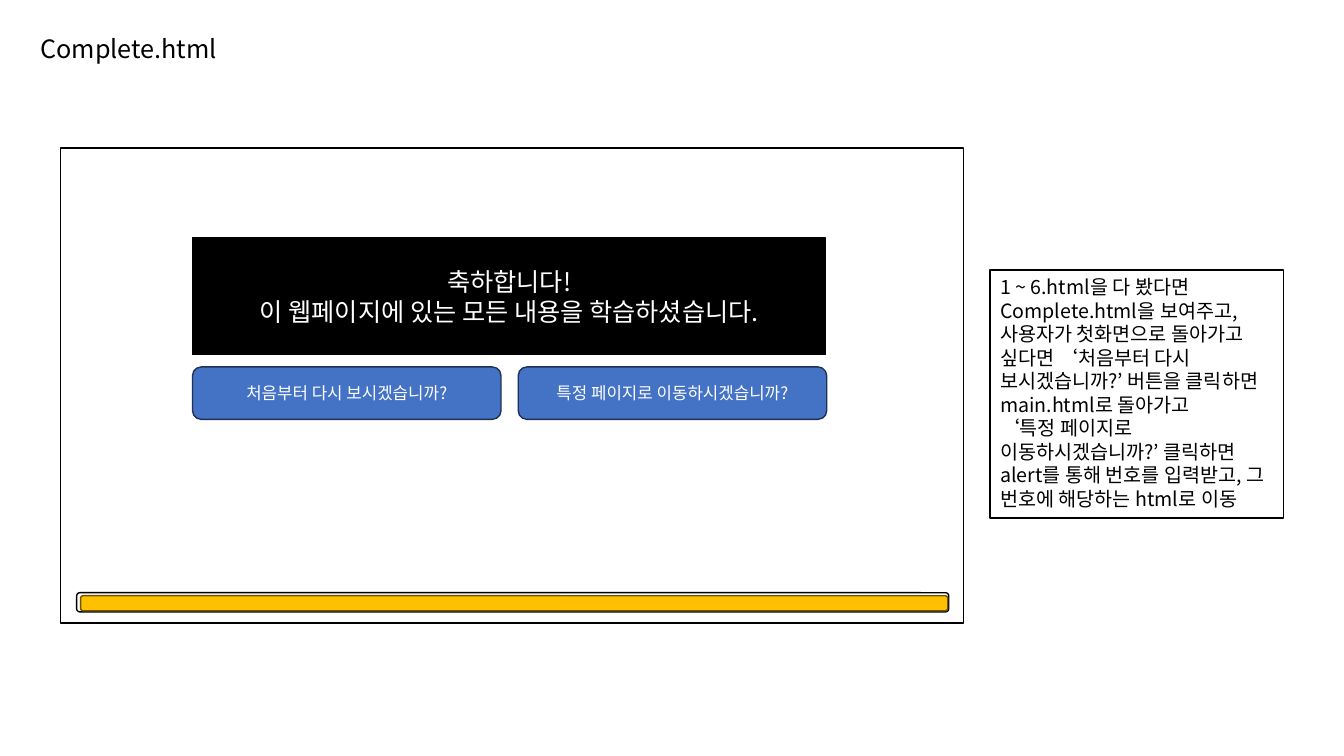
from lxml.etree import SubElement
from pptx import Presentation
from pptx.dml.color import RGBColor
from pptx.enum.shapes import MSO_SHAPE
from pptx.enum.text import MSO_ANCHOR, MSO_AUTO_SIZE, PP_ALIGN
from pptx.oxml.ns import qn
from pptx.util import Inches, Pt

FONT = "Noto Sans CJK KR"
BLACK = RGBColor(0x00, 0x00, 0x00)
WHITE = RGBColor(0xFF, 0xFF, 0xFF)
BLUE = RGBColor(0x44, 0x72, 0xC4)
NAVY = RGBColor(0x1E, 0x32, 0x56)
GOLD = RGBColor(0xFF, 0xC0, 0x00)
BROWN = RGBColor(0x70, 0x54, 0x00)

MESSAGE = ["축하합니다!", "이 웹페이지에 있는 모든 내용을 학습하셨습니다."]
BUTTONS = ["처음부터 다시 보시겠습니까?", "특정 페이지로 이동하시겠습니까?"]
NOTE = [
    "1 ~ 6.html을 다 봤다면 Complete.html을 보여주고,",
    "사용자가 첫화면으로 돌아가고 싶다면 ‘처음부터 다시 보시겠습니까?’ "
    "버튼을 클릭하면 main.html로 돌아가고",
    "‘특정 페이지로 이동하시겠습니까?’ 클릭하면 alert를 통해 번호를 입력받고, "
    "그 번호에 해당하는 html로 이동",
]


def write(shape, lines, size, color, align=PP_ALIGN.CENTER, anchor=MSO_ANCHOR.MIDDLE):
    frame = shape.text_frame
    frame.word_wrap = True
    frame.vertical_anchor = anchor
    frame.text = "\n".join(lines)
    for paragraph in frame.paragraphs:
        paragraph.alignment = align
        for run in paragraph.runs:
            for name, value in {"size": Pt(size), "name": FONT}.items():
                setattr(run.font, name, value)
            run.font.color.rgb = color
            # Korean glyphs use the East Asian typeface
            SubElement(run.font._element, qn("a:ea"), typeface=FONT)


def add_box(slide, box, fill, line, kind=MSO_SHAPE.RECTANGLE):
    shape = slide.shapes.add_shape(kind, *map(Inches, box))
    shape.shadow.inherit = False
    shape.fill.solid()
    shape.fill.fore_color.rgb = fill
    shape.line.color.rgb = line
    shape.line.width = Pt(1)
    return shape


def add_title(slide, box):
    title = slide.shapes.title
    for name, value in zip(("left", "top", "width", "height"), box):
        setattr(title, name, Inches(value))
    write(title, ["Complete.html"], 18, BLACK, PP_ALIGN.LEFT, MSO_ANCHOR.TOP)
    title.text_frame.auto_size = MSO_AUTO_SIZE.SHAPE_TO_FIT_TEXT


def add_note(slide, box):
    note = add_box(slide, box, WHITE, BLACK)
    write(note, NOTE, 14, BLACK, PP_ALIGN.LEFT, MSO_ANCHOR.TOP)
    note.text_frame.auto_size = MSO_AUTO_SIZE.SHAPE_TO_FIT_TEXT


def add_page_mockup(slide, box):
    left, top, width, height = box
    add_box(slide, box, WHITE, BLACK)

    # Progress bar: track and full fill
    rounded = MSO_SHAPE.ROUNDED_RECTANGLE
    track_top = top + height - 0.3
    add_box(slide, (left + 0.16, track_top, 8.65, 0.19), WHITE, BLACK, rounded)
    add_box(slide, (left + 0.2, track_top + 0.03, 8.6, 0.15), GOLD, BROWN, rounded)

    # Congratulation message
    inner_left = left + 1.31
    message = add_box(slide, (inner_left, top + 0.89, 6.28, 1.16), BLACK, BLACK)
    write(message, MESSAGE, 18, WHITE)

    # Two buttons side by side
    button_width, gap = 3.06, 0.17
    for index, label in enumerate(BUTTONS):
        button_left = inner_left + index * (button_width + gap)
        button = add_box(slide, (button_left, top + 2.17, button_width, 0.52),
                         BLUE, NAVY, rounded)
        write(button, [label], 12, WHITE)


def main():
    deck = Presentation()
    deck.slide_width, deck.slide_height = Inches(13.33), Inches(7.5)
    slide = deck.slides.add_slide(deck.slide_layouts[5])
    add_title(slide, (0.3, 0.28, 7.71, 0.4))
    add_page_mockup(slide, (0.6, 1.47, 8.96, 4.71))
    add_note(slide, (9.82, 2.68, 2.91, 2.46))
    deck.save("out.pptx")


if __name__ == "__main__":
    main()
